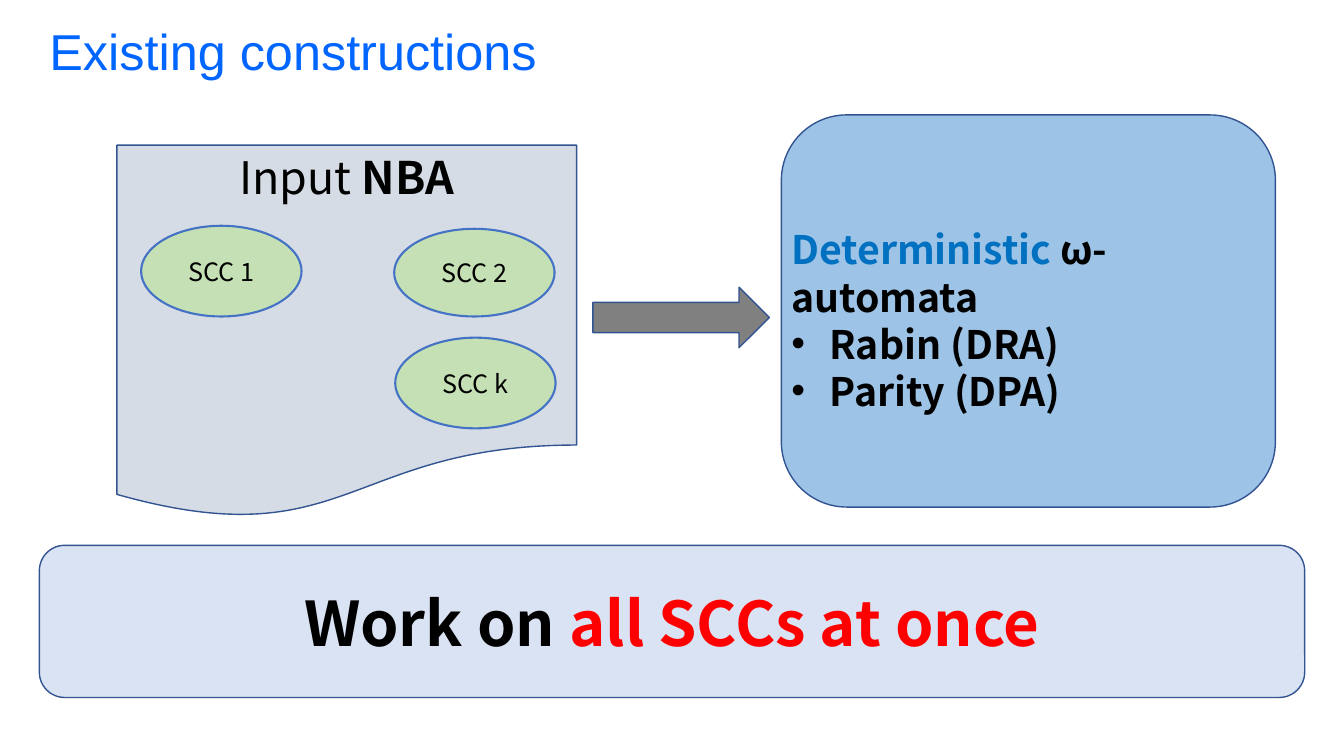
"""Build a slide on existing constructions for automata."""
import dataclasses

import lxml.etree
import pptx
import pptx.dml.color
import pptx.enum.shapes
import pptx.enum.text
import pptx.oxml.ns
import pptx.util

PX = 9144
KIND = pptx.enum.shapes.MSO_SHAPE
ALIGN = pptx.enum.text.PP_ALIGN
ANCHOR = pptx.enum.text.MSO_ANCHOR


@dataclasses.dataclass(frozen=True)
class Theme:
    """Hold the colours, fonts and type sizes."""
    head: str = "Arial"
    body: str = "Noto Sans CJK SC"
    title: str = "0066FF"
    ink: str = "000000"
    blue: str = "0070C0"
    red: str = "FF0000"
    edge: str = "325491"
    ring: str = "4472C4"
    page: str = "D6DCE5"
    green: str = "C5E0B4"
    gray: str = "808080"
    sky: str = "9DC3E6"
    pale: str = "DAE3F3"
    title_size: int = 36
    node_size: int = 18
    input_size: int = 32
    list_size: int = 28
    claim_size: int = 44


THEME = Theme()


def scale(*sizes):
    """Turn px into EMU."""
    return [pptx.util.Emu(size * PX) for size in sizes]


def tint(code):
    """Return a colour from its hex code."""
    return pptx.dml.color.RGBColor.from_string(code)


def shape(slide, kind, box, fill, edge=THEME.edge, width=1):
    """Draw a filled preset shape."""
    item = slide.shapes.add_shape(kind, *scale(*box))
    item.shadow.inherit = False
    item.fill.solid()
    item.fill.fore_color.rgb = tint(fill)
    item.line.color.rgb = tint(edge)
    item.line.width = pptx.util.Pt(width)
    return item


def label(slide, box):
    """Add a wrapping text box and return its frame."""
    frame = slide.shapes.add_textbox(*scale(*box)).text_frame
    frame.word_wrap = True
    return frame


def write(para, runs, size, align=ALIGN.CENTER, bold=None, face=THEME.body):
    """Fill a paragraph with runs of text, colour and optional weight."""
    para.alignment = align
    para.font.name = face
    para.font.size = pptx.util.Pt(size)
    para.font.bold = bold
    para.font.color.rgb = tint(THEME.ink)
    for text, color, *weight in runs:
        run = para.add_run()
        run.text = text
        if color != THEME.ink:
            run.font.color.rgb = tint(color)
        if weight:
            run.font.bold = weight[0]


def bullet(para, indent):
    """Give a paragraph a hanging bullet."""
    props = para._p.get_or_add_pPr()
    props.set("marL", str(indent * PX))
    props.set("indent", str(-indent * PX))
    font = lxml.etree.SubElement(props, pptx.oxml.ns.qn("a:buFont"))
    font.set("typeface", THEME.head)
    mark = lxml.etree.SubElement(props, pptx.oxml.ns.qn("a:buChar"))
    mark.set("char", "•")


def title(slide, box):
    """Place the slide title."""
    item = slide.shapes.title
    item.left, item.top, item.width, item.height = scale(*box)
    frame = item.text_frame
    frame.auto_size = pptx.enum.text.MSO_AUTO_SIZE.NONE
    frame.vertical_anchor = ANCHOR.TOP
    write(frame.paragraphs[0], [("Existing constructions", THEME.title)],
          THEME.title_size, ALIGN.LEFT, face=THEME.head)


def source(slide, box):
    """Draw the input page with its components."""
    left, top, width, height = box
    shape(slide, KIND.FLOWCHART_DOCUMENT, box, THEME.page)
    nodes = [("1", 24, 80, 90), ("2", 275, 83, 87), ("k", 276, 191, 90)]
    for name, dx, dy, tall in nodes:
        node = shape(slide, KIND.OVAL, (left + dx, top + dy, 159, tall),
                     THEME.green, THEME.ring, 1.5)
        node.text_frame.vertical_anchor = ANCHOR.MIDDLE
        write(node.text_frame.paragraphs[0], [(f"SCC {name}", THEME.ink)],
              THEME.node_size)
    frame = label(slide, (left, top, width, 64))
    write(frame.paragraphs[0],
          [("Input ", THEME.ink), ("NBA", THEME.ink, True)], THEME.input_size)


def result(slide, box):
    """Draw the panel of deterministic automata."""
    left, top, width, height = box
    shape(slide, KIND.ROUNDED_RECTANGLE, box, THEME.sky)
    frame = label(slide, (left, top + 105, width, 151))
    write(frame.paragraphs[0],
          [("Deterministic ", THEME.blue), ("ω-automata", THEME.ink)],
          THEME.list_size, ALIGN.LEFT, True)
    for text in ("Rabin (DRA)", "Parity (DPA)"):
        para = frame.add_paragraph()
        bullet(para, 38)
        write(para, [(text, THEME.ink)], THEME.list_size, ALIGN.LEFT, True)


def claim(slide, box):
    """Draw the closing banner."""
    item = shape(slide, KIND.ROUNDED_RECTANGLE, box, THEME.pale)
    item.text_frame.vertical_anchor = ANCHOR.MIDDLE
    write(item.text_frame.paragraphs[0],
          [("Work on ", THEME.ink), ("all SCCs at once", THEME.red)],
          THEME.claim_size, bold=True)


def main():
    """Build and save the slide."""
    deck = pptx.Presentation()
    deck.slide_width, deck.slide_height = scale(1333, 750)
    slide = deck.slides.add_slide(deck.slide_layouts[5])
    title(slide, (39, 15, 921, 71))
    source(slide, (116, 144, 456, 371))
    shape(slide, KIND.RIGHT_ARROW, (588, 285, 175, 60), THEME.gray)
    result(slide, (775, 114, 490, 389))
    claim(slide, (39, 541, 1255, 151))
    deck.save("out.pptx")


if __name__ == "__main__":
    main()
